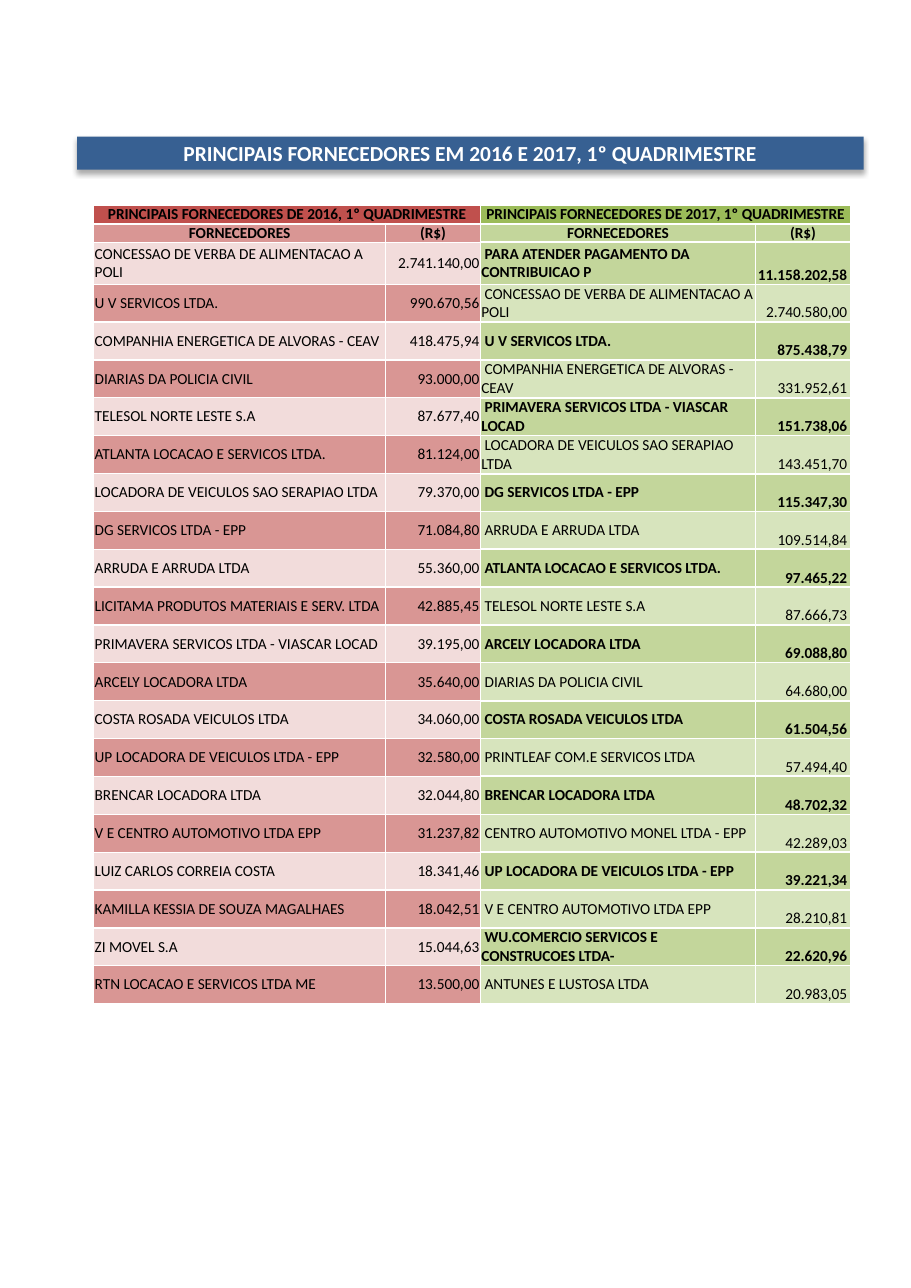
from lxml.etree import SubElement
from pptx import Presentation
from pptx.dml.color import RGBColor
from pptx.enum.text import MSO_ANCHOR, MSO_AUTO_SIZE, PP_ALIGN
from pptx.oxml import parse_xml
from pptx.oxml.ns import nsdecls, qn
from pptx.util import Inches, Pt

WHITE = RGBColor(0xFF, 0xFF, 0xFF)
BLACK = RGBColor(0x00, 0x00, 0x00)
BLUE = RGBColor(0x37, 0x60, 0x92)
RED = RGBColor(0xC0, 0x50, 0x4D)
MID_RED = RGBColor(0xD9, 0x96, 0x94)
PALE_RED = RGBColor(0xF2, 0xDC, 0xDB)
GREEN = RGBColor(0x9B, 0xBB, 0x59)
MID_GREEN = RGBColor(0xC3, 0xD6, 0x9B)
PALE_GREEN = RGBColor(0xD7, 0xE4, 0xBD)
FONT = "Calibri"

SUPPLIERS_2016 = [
    ("CONCESSAO DE VERBA DE ALIMENTACAO A POLI", "2.741.140,00"),
    ("U V SERVICOS LTDA.", "990.670,56"),
    ("COMPANHIA ENERGETICA DE ALVORAS - CEAV", "418.475,94"),
    ("DIARIAS DA POLICIA CIVIL", "93.000,00"),
    ("TELESOL NORTE LESTE S.A", "87.677,40"),
    ("ATLANTA LOCACAO E SERVICOS LTDA.", "81.124,00"),
    ("LOCADORA DE VEICULOS SAO SERAPIAO LTDA", "79.370,00"),
    ("DG SERVICOS LTDA - EPP", "71.084,80"),
    ("ARRUDA E ARRUDA LTDA", "55.360,00"),
    ("LICITAMA PRODUTOS MATERIAIS E SERV. LTDA", "42.885,45"),
    ("PRIMAVERA SERVICOS LTDA - VIASCAR LOCAD", "39.195,00"),
    ("ARCELY LOCADORA LTDA", "35.640,00"),
    ("COSTA ROSADA VEICULOS LTDA", "34.060,00"),
    ("UP LOCADORA DE VEICULOS LTDA - EPP", "32.580,00"),
    ("BRENCAR LOCADORA LTDA", "32.044,80"),
    ("V E CENTRO AUTOMOTIVO LTDA EPP", "31.237,82"),
    ("LUIZ CARLOS CORREIA COSTA", "18.341,46"),
    ("KAMILLA KESSIA DE SOUZA MAGALHAES", "18.042,51"),
    ("ZI MOVEL S.A", "15.044,63"),
    ("RTN LOCACAO E SERVICOS LTDA ME", "13.500,00"),
]
SUPPLIERS_2017 = [
    ("PARA ATENDER PAGAMENTO DA CONTRIBUICAO P", "11.158.202,58"),
    ("CONCESSAO DE VERBA DE ALIMENTACAO A POLI", "2.740.580,00"),
    ("U V SERVICOS LTDA.", "875.438,79"),
    ("COMPANHIA ENERGETICA DE ALVORAS - CEAV", "331.952,61"),
    ("PRIMAVERA SERVICOS LTDA - VIASCAR LOCAD", "151.738,06"),
    ("LOCADORA DE VEICULOS SAO SERAPIAO LTDA", "143.451,70"),
    ("DG SERVICOS LTDA - EPP", "115.347,30"),
    ("ARRUDA E ARRUDA LTDA", "109.514,84"),
    ("ATLANTA LOCACAO E SERVICOS LTDA.", "97.465,22"),
    ("TELESOL NORTE LESTE S.A", "87.666,73"),
    ("ARCELY LOCADORA LTDA", "69.088,80"),
    ("DIARIAS DA POLICIA CIVIL", "64.680,00"),
    ("COSTA ROSADA VEICULOS LTDA", "61.504,56"),
    ("PRINTLEAF COM.E SERVICOS LTDA", "57.494,40"),
    ("BRENCAR LOCADORA LTDA", "48.702,32"),
    ("CENTRO AUTOMOTIVO MONEL LTDA - EPP", "42.289,03"),
    ("UP LOCADORA DE VEICULOS LTDA - EPP", "39.221,34"),
    ("V E CENTRO AUTOMOTIVO LTDA EPP", "28.210,81"),
    ("WU.COMERCIO SERVICOS E CONSTRUCOES LTDA-", "22.620,96"),
    ("ANTUNES E LUSTOSA LTDA", "20.983,05"),
]


def add_borders(cell, top, bottom):
    """Draw white cell borders; top and bottom are widths in points."""
    properties = cell._tc.get_or_add_tcPr()
    for side, width in (("L", 1), ("R", 1), ("T", top), ("B", bottom)):
        line = SubElement(properties, qn(f"a:ln{side}"), w=str(Pt(width)))
        fill = SubElement(line, qn("a:solidFill"))
        SubElement(fill, qn("a:srgbClr"), val=str(WHITE))


def write_cell(cell, text, color, bold, align):
    cell.fill.solid()
    cell.fill.fore_color.rgb = color
    cell.vertical_anchor = MSO_ANCHOR.MIDDLE
    cell.margin_left = cell.margin_right = Inches(0.01)
    cell.margin_top = cell.margin_bottom = 0
    para = cell.text_frame.paragraphs[0]
    para.text = text
    para.alignment = align
    for span in para.runs:
        span.font.name = FONT
        span.font.size = Pt(10)
        span.font.bold = bold
        span.font.color.rgb = BLACK


deck = Presentation()
deck.slide_width, deck.slide_height = Inches(8.27), Inches(11.69)
page = deck.slides.add_slide(deck.slide_layouts[5])

# Title banner
title = page.shapes.title
title.left, title.top = Inches(0.7), Inches(1.24)
title.width, title.height = Inches(7.14), Inches(0.3)
title.fill.solid()
title.fill.fore_color.rgb = BLUE
title._element.spPr.append(parse_xml(
    f'<a:effectLst {nsdecls("a")}><a:outerShdw blurRad="{Pt(3.5)}" dist="{Pt(2.2)}" '
    'dir="5400000" rotWithShape="0"><a:srgbClr val="000000"><a:alpha val="32000"/>'
    '</a:srgbClr></a:outerShdw></a:effectLst>'))
frame = title.text_frame
frame.text = "PRINCIPAIS FORNECEDORES EM 2016 E 2017, 1º QUADRIMESTRE"
frame.auto_size = MSO_AUTO_SIZE.NONE
frame.vertical_anchor = MSO_ANCHOR.MIDDLE
frame.margin_top = frame.margin_bottom = 0
frame.paragraphs[0].alignment = PP_ALIGN.CENTER
title_font = frame.paragraphs[0].runs[0].font
title_font.name = FONT
title_font.size = Pt(14)
title_font.bold = True
title_font.color.rgb = WHITE

# Supplier table
row_heights = [0.17, 0.17, 0.38] + [0.344] * (len(SUPPLIERS_2016) - 1)
row_count = len(row_heights)
table = page.shapes.add_table(row_count, 4, Inches(0.85), Inches(1.86),
                              Inches(6.88), Inches(sum(row_heights))).table
table.first_row = table.horz_banding = False
for column, width in zip(table.columns, (2.65, 0.86, 2.5, 0.86)):
    column.width = Inches(width)
for row, height in zip(table.rows, row_heights):
    row.height = Inches(height)

# Thick rules: under the heading, and under every second row for 2017
for column in range(4):
    thick = {0} if column < 2 else {0, *range(1, row_count - 1, 2)}
    for row in range(row_count):
        add_borders(table.cell(row, column),
                    1.5 if row - 1 in thick else 1, 1.5 if row in thick else 1)

years = (
    (0, 2016, SUPPLIERS_2016, RED, MID_RED, (PALE_RED, MID_RED)),
    (2, 2017, SUPPLIERS_2017, GREEN, MID_GREEN, (MID_GREEN, PALE_GREEN)),
)
for first, year, suppliers, heading_color, label_color, bands in years:
    heading = table.cell(0, first)
    heading.merge(table.cell(0, first + 1))
    write_cell(heading, f"PRINCIPAIS FORNECEDORES DE {year}, 1º QUADRIMESTRE",
               heading_color, True, PP_ALIGN.CENTER)
    for offset, label in enumerate(("FORNECEDORES", "(R$)")):
        write_cell(table.cell(1, first + offset), label, label_color, True, PP_ALIGN.CENTER)
    for index, (name, amount) in enumerate(suppliers):
        name_cell = table.cell(index + 2, first)
        amount_cell = table.cell(index + 2, first + 1)
        bold = year == 2017 and index % 2 == 0
        write_cell(name_cell, name, bands[index % 2], bold, PP_ALIGN.LEFT)
        write_cell(amount_cell, amount, bands[index % 2], bold, PP_ALIGN.RIGHT)
        if year == 2017:
            indent = name_cell.text_frame.paragraphs[0]._p.get_or_add_pPr()
            indent.set("indent", str(Inches(0.03)))
            amount_cell.vertical_anchor = MSO_ANCHOR.BOTTOM
            amount_cell.margin_left = 0
            amount_cell.margin_right = Inches(0.03)

deck.save("out.pptx")
